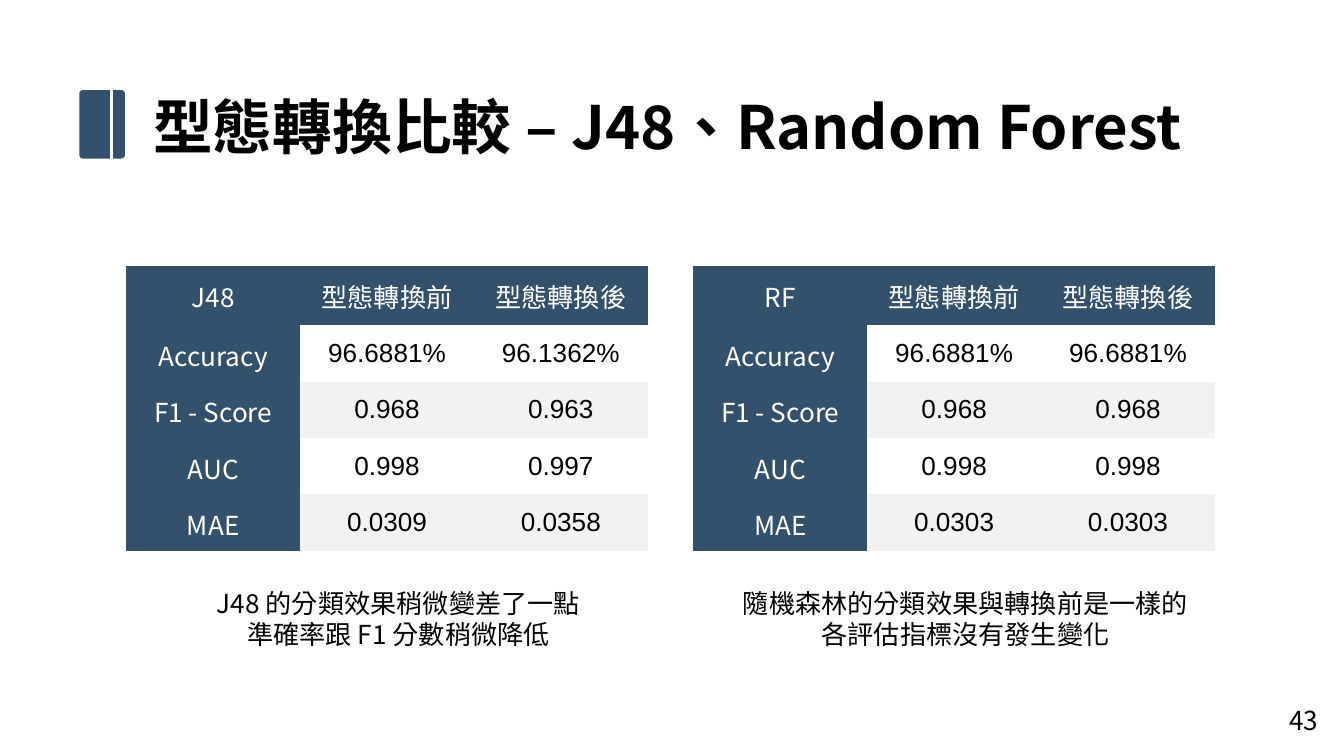
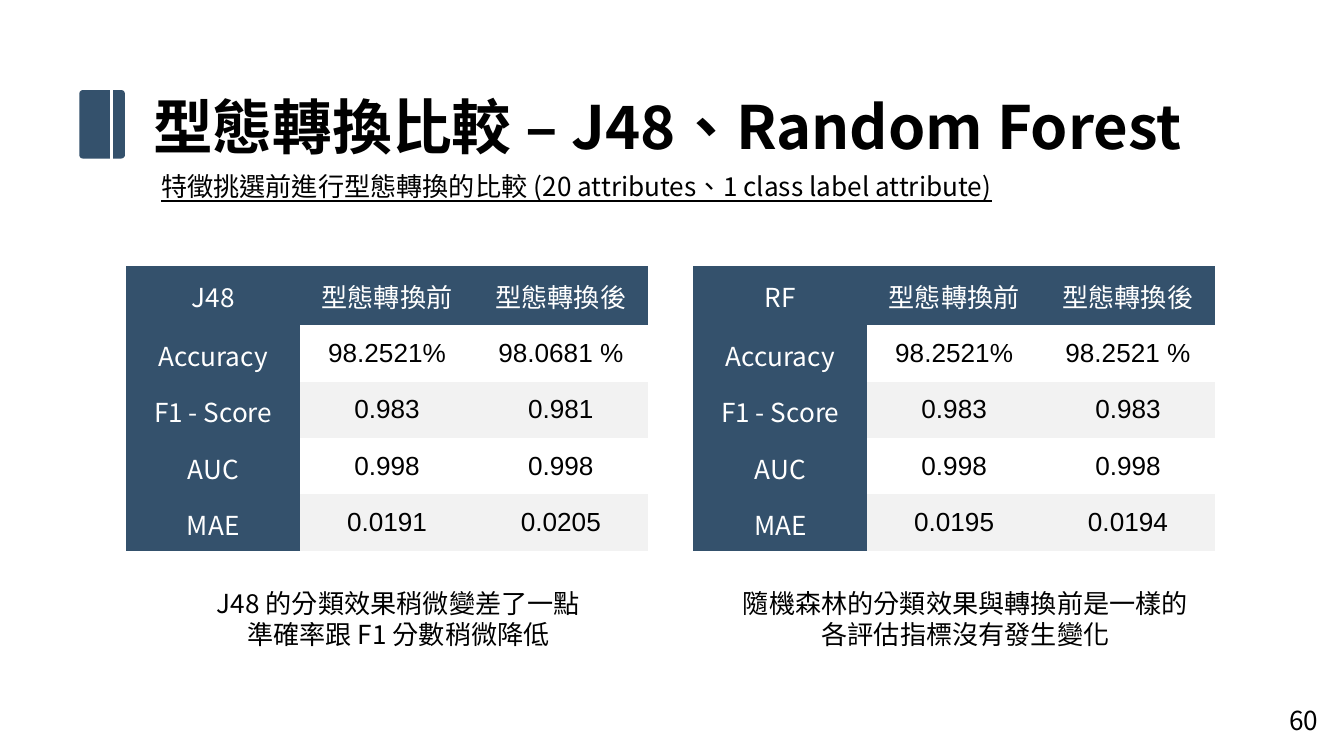
import dataclasses

import pptx
import pptx.dml.color
import pptx.enum.shapes
import pptx.enum.text
import pptx.oxml
import pptx.oxml.ns
import pptx.util

Inches = pptx.util.Inches
Pt = pptx.util.Pt
ALIGN = pptx.enum.text.PP_ALIGN
ANCHOR = pptx.enum.text.MSO_ANCHOR
AUTO_SIZE = pptx.enum.text.MSO_AUTO_SIZE
qn = pptx.oxml.ns.qn


def color(value):
    return pptx.dml.color.RGBColor.from_string(value)


@dataclasses.dataclass(frozen=True)
class Theme:
    navy = color("34516C")
    band = color("F2F2F2")
    white = color("FFFFFF")
    black = color("000000")
    text_font = "Noto Sans CJK JP"
    number_font = "Arial"
    language = "zh-TW"
    title_size = Pt(32)
    body_size = Pt(14)
    indent = Inches(0.17)
    plain_table_style = "{2D5ABB26-0587-4C30-8999-92F81FD0307C}"


THEME = Theme()

# Places shared by both slides
TABLE_LEFTS = (0.94, 5.16)
TABLE_TOP = 1.98
TABLE_WIDTH = 3.88
HEADER_HEIGHT = 0.44
ROW_HEIGHT = 0.42
CELL_MARGIN = 0.08

# Wording shared by both slides
TITLE = "型態轉換比較 – J48、Random Forest"
MODELS = ("J48", "RF")
STAGES = ("型態轉換前", "型態轉換後")
METRICS = ("Accuracy", "F1 - Score", "AUC", "MAE")
CAPTIONS = (
    ("J48 的分類效果稍微變差了一點", "準確率跟 F1 分數稍微降低"),
    ("隨機森林的分類效果與轉換前是一樣的", "各評估指標沒有發生變化"),
)

# Each slide: page number, subtitle, and (before, after) per metric and model
PAGES = (
    (
        "43",
        None,
        (
            (("96.6881%", "96.1362%"), ("0.968", "0.963"),
             ("0.998", "0.997"), ("0.0309", "0.0358")),
            (("96.6881%", "96.6881%"), ("0.968", "0.968"),
             ("0.998", "0.998"), ("0.0303", "0.0303")),
        ),
    ),
    (
        "60",
        "特徵挑選前進行型態轉換的比較 (20 attributes、1 class label attribute)",
        (
            (("98.2521%", "98.0681 %"), ("0.983", "0.981"),
             ("0.998", "0.998"), ("0.0191", "0.0205")),
            (("98.2521%", "98.2521 %"), ("0.983", "0.983"),
             ("0.998", "0.998"), ("0.0195", "0.0194")),
        ),
    ),
)


def add_span(para, text, size=THEME.body_size, fill=THEME.black,
             font=THEME.text_font, bold=False, underline=False):
    span = para.add_run()
    span.text = text
    span.font.size = size
    span.font.name = font
    span.font.bold = bold
    span.font.underline = underline
    span.font.color.rgb = fill
    # East Asian characters take their font from a separate element
    properties = span.font._element
    properties.set("lang", THEME.language)
    properties.find(qn("a:latin")).addnext(pptx.oxml.parse_xml(
        f'<a:ea {pptx.oxml.ns.nsdecls("a")} typeface="{font}"/>'))


def fill_frame(frame, lines, align, indent=0, grow=True, **style):
    frame.word_wrap = True
    frame.auto_size = AUTO_SIZE.SHAPE_TO_FIT_TEXT if grow else AUTO_SIZE.NONE
    frame.vertical_anchor = ANCHOR.TOP
    frame.margin_left = frame.margin_right = Inches(0.1)
    frame.margin_top = frame.margin_bottom = Inches(0.05)
    for index, line in enumerate(lines):
        para = frame.add_paragraph() if index else frame.paragraphs[0]
        para.alignment = align
        para.line_spacing = 1.0
        para.space_before = Pt(0)
        if indent:
            properties = para._p.get_or_add_pPr()
            properties.set("marL", str(indent))
            properties.set("indent", "0")
        add_span(para, line, **style)


def add_text(page, place, lines, align=ALIGN.CENTER, **options):
    box = page.shapes.add_textbox(*map(Inches, place))
    fill_frame(box.text_frame, lines, align, **options)


def add_title(page):
    title = page.shapes.title
    title.left, title.top, title.width, title.height = map(
        Inches, (1.04, 0.62, 8.41, 0.64))
    fill_frame(title.text_frame, [TITLE], ALIGN.LEFT,
               size=THEME.title_size, bold=True)


def add_title_marker(page):
    block = page.shapes.add_shape(
        pptx.enum.shapes.MSO_SHAPE.ROUNDED_RECTANGLE,
        *map(Inches, (0.59, 0.67, 0.34, 0.51)))
    block.adjustments[0] = 0.08
    block.shadow.inherit = False
    block.fill.solid()
    block.fill.fore_color.rgb = THEME.navy
    block.line.fill.background()

    divider = page.shapes.add_connector(
        pptx.enum.shapes.MSO_CONNECTOR.STRAIGHT,
        *map(Inches, (0.83, 0.6, 0.83, 1.28)))
    divider.line.color.rgb = THEME.white
    divider.line.width = Pt(2)
    divider._element.spPr.append(pptx.oxml.parse_xml(
        f'<a:effectLst {pptx.oxml.ns.nsdecls("a")}/>'))


def fill_cell(cell, text, heading, shaded):
    cell.vertical_anchor = ANCHOR.MIDDLE
    cell.margin_left = cell.margin_right = Inches(CELL_MARGIN)
    cell.margin_top = cell.margin_bottom = Inches(CELL_MARGIN)
    if heading or shaded:
        cell.fill.solid()
        cell.fill.fore_color.rgb = THEME.navy if heading else THEME.band
    else:
        cell.fill.background()
    para = cell.text_frame.paragraphs[0]
    para.alignment = ALIGN.CENTER
    add_span(para, text,
             fill=THEME.white if heading else THEME.black,
             font=THEME.text_font if heading else THEME.number_font)


def add_score_table(page, left, model, scores):
    rows = [(model, *STAGES)]
    rows += [(metric, *pair) for metric, pair in zip(METRICS, scores)]
    height = HEADER_HEIGHT + ROW_HEIGHT * len(METRICS)
    table = page.shapes.add_table(
        len(rows), len(rows[0]),
        *map(Inches, (left, TABLE_TOP, TABLE_WIDTH, height))).table
    table._tbl.tblPr.find(qn("a:tableStyleId")).text = THEME.plain_table_style
    table.horz_banding = False
    for column in table.columns:
        column.width = Inches(TABLE_WIDTH / len(rows[0]))
    for r, values in enumerate(rows):
        table.rows[r].height = Inches(ROW_HEIGHT if r else HEADER_HEIGHT)
        for c, text in enumerate(values):
            fill_cell(table.cell(r, c), text,
                      heading=r == 0 or c == 0, shaded=r % 2 == 0)


def add_comparison_page(deck, number, subtitle, results):
    page = deck.slides.add_slide(deck.slide_layouts[5])
    add_title(page)
    add_title_marker(page)

    # One table with its caption per model
    for left, model, scores in zip(TABLE_LEFTS, MODELS, results):
        add_score_table(page, left, model, scores)
    for left, caption in zip(TABLE_LEFTS, CAPTIONS):
        add_text(page, (left, 4.32, TABLE_WIDTH, 0.57), caption,
                 indent=THEME.indent)

    # Page number and optional subtitle
    add_text(page, (9.4, 5.19, 0.6, 0.43), [number], grow=False)
    if subtitle:
        add_text(page, (0.93, 1.22, 9.07, 0.34), [subtitle], ALIGN.LEFT,
                 indent=THEME.indent, underline=True)


def main():
    deck = pptx.Presentation()
    # Widescreen, 16:9
    deck.slide_width = Inches(10)
    deck.slide_height = deck.slide_width * 9 // 16
    for number, subtitle, results in PAGES:
        add_comparison_page(deck, number, subtitle, results)
    deck.save("out.pptx")


if __name__ == "__main__":
    main()
